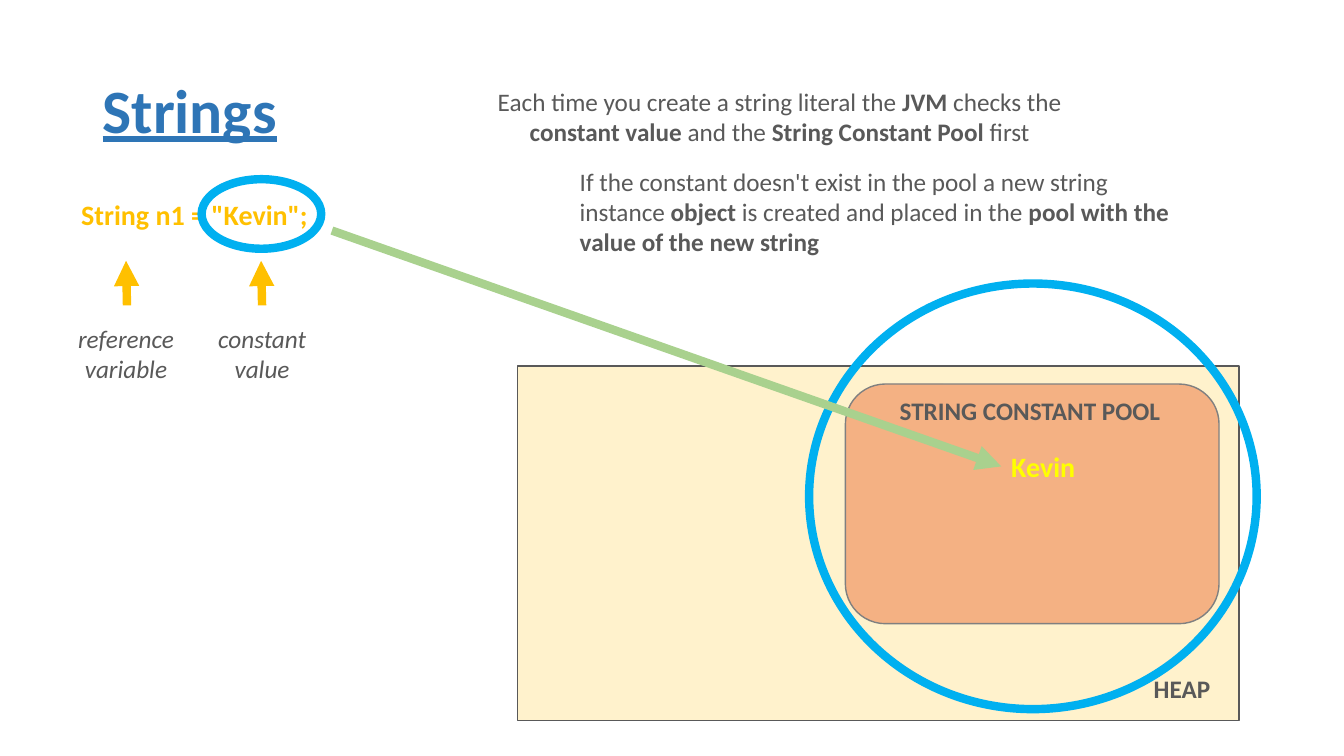
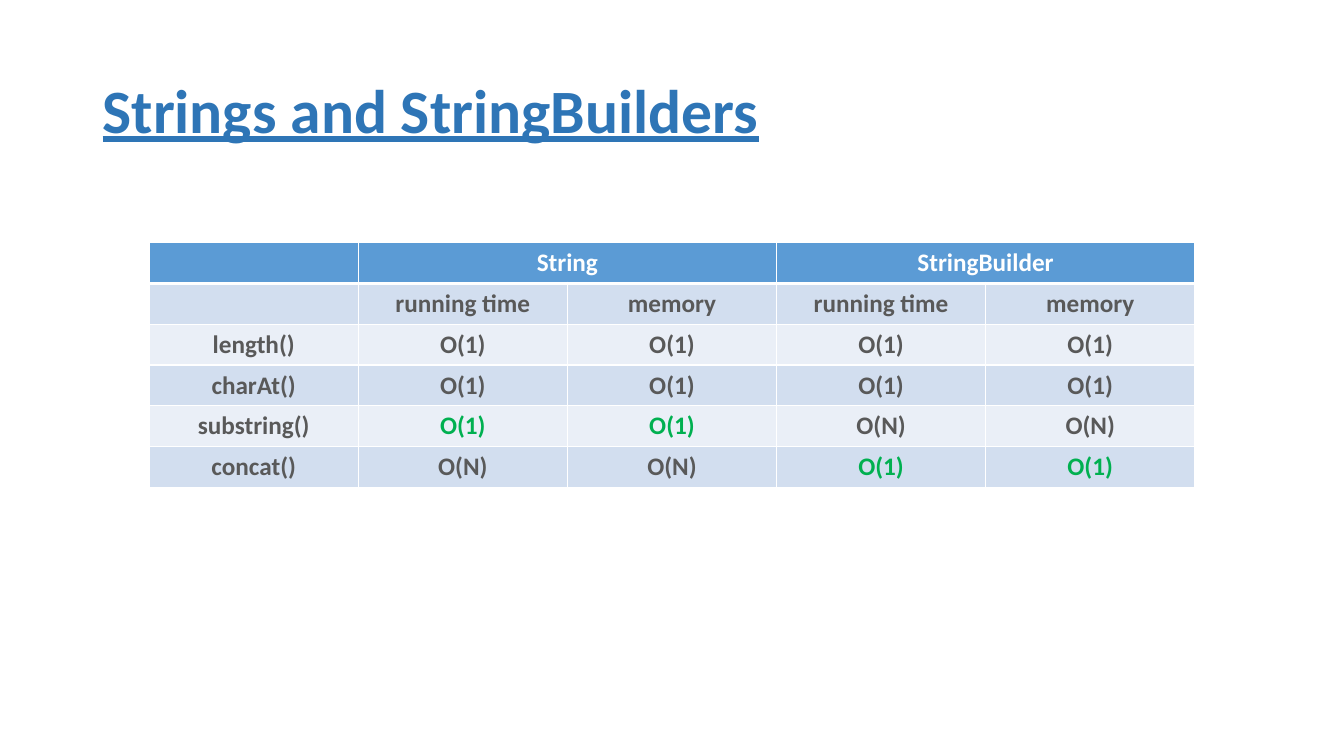
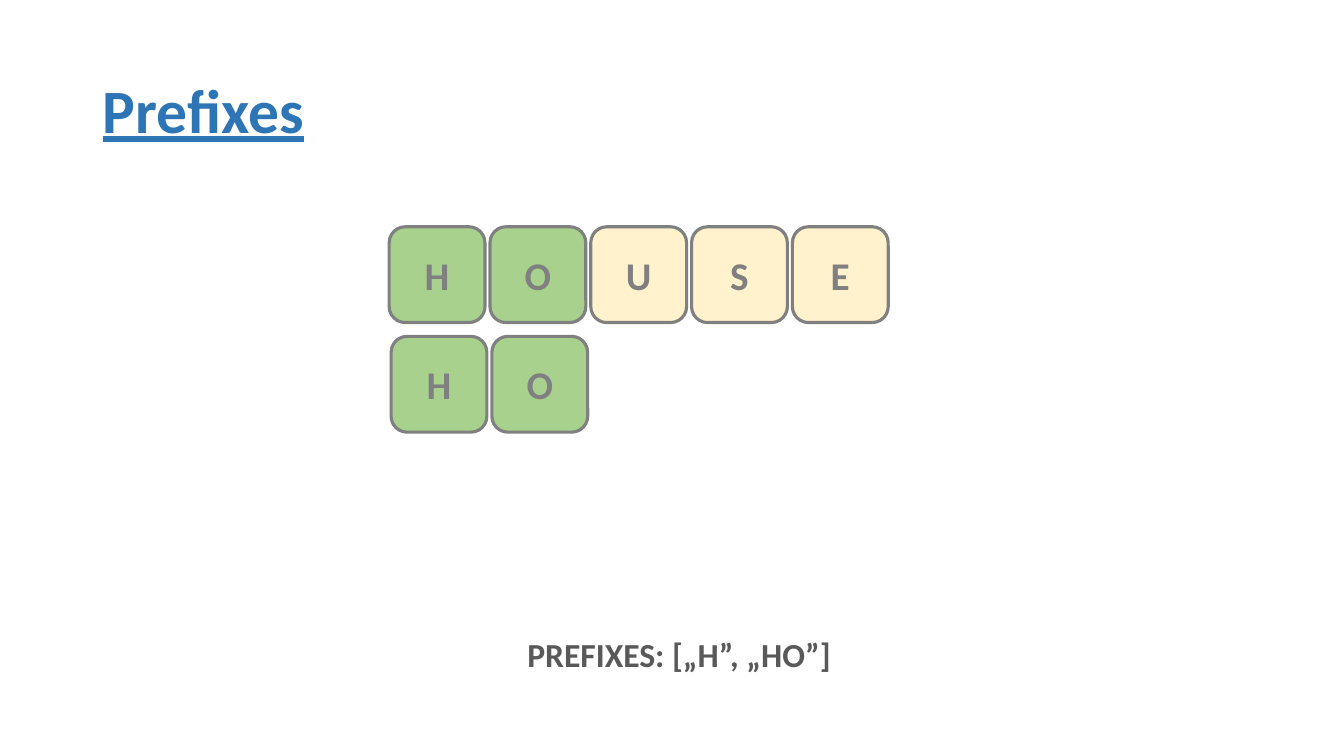
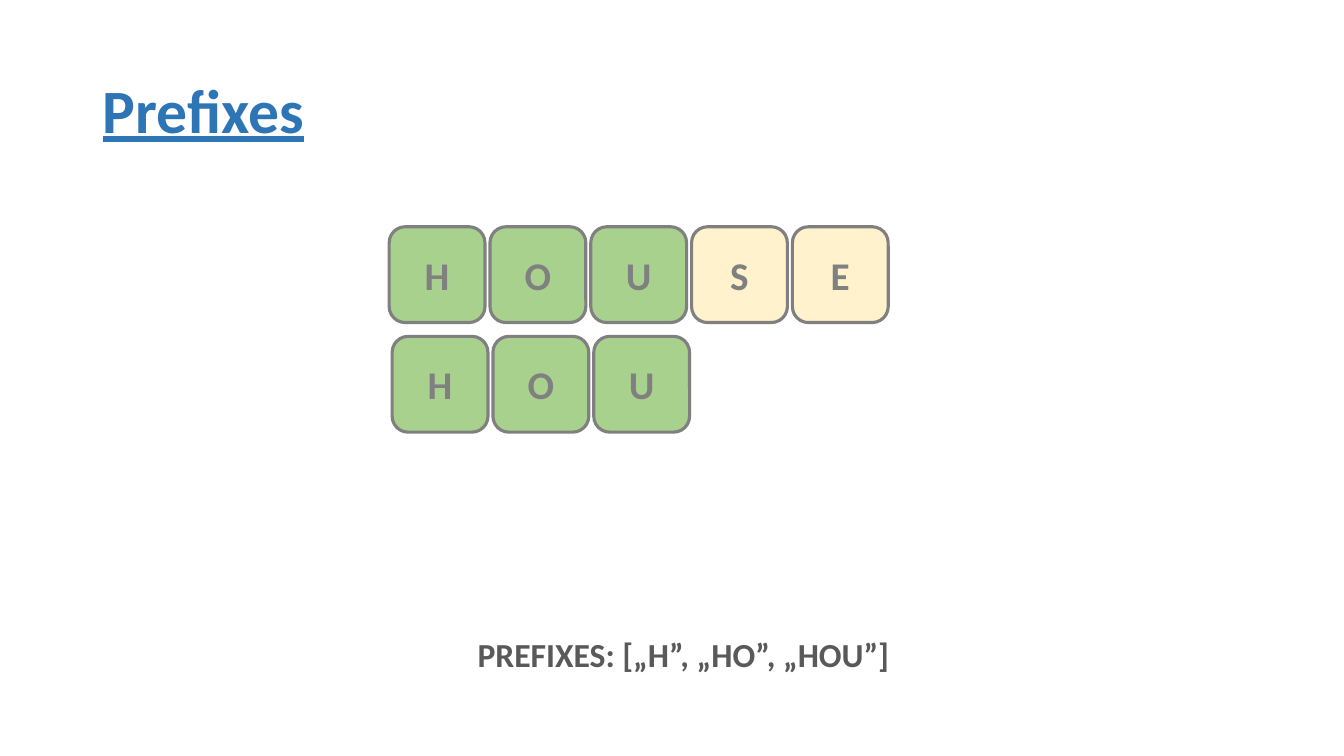
"""Build four slides on strings, string builders and prefixes."""
from dataclasses import dataclass

from lxml.etree import SubElement
from pptx import Presentation
from pptx.dml.color import RGBColor
from pptx.enum.shapes import MSO_CONNECTOR, MSO_SHAPE
from pptx.enum.text import MSO_ANCHOR, PP_ALIGN
from pptx.oxml import parse_xml
from pptx.oxml.ns import nsdecls, qn
from pptx.util import Inches, Pt


@dataclass(frozen=True)
class Theme:
    font: str = "Calibri"
    title: str = "2E75B6"
    ink: str = "595959"
    outline: str = "808080"
    white: str = "FFFFFF"
    cream: str = "FFF2CC"
    orange: str = "F4B183"
    green: str = "A9D18E"
    gold: str = "FFC000"
    yellow: str = "FFFF00"
    ring: str = "00B0F0"
    header: str = "5B9BD5"
    bands: tuple = ("D2DEEF", "EAEFF7")
    best: str = "00B050"
    title_size: int = 44
    tile_size: int = 28
    answer_size: int = 24
    code_size: int = 20
    body_size: int = 18
    thick: float = 6
    medium: float = 2.25
    thin: float = 1


THEME = Theme()
WIDTH, HEIGHT = Inches(13.33), Inches(7.5)
TITLE_AREA = (6.9, 5.3, 86.3, 19.3)

HEAP = ("HEAP", (38.5, 48.4, 53.7, 46.9), (85.1, 88.4, 7.1, 5.3))
POOL = ("STRING CONSTANT POOL", (62.9, 50.8, 27.8, 31.7), (66.2, 51.6, 24.8, 5.3))
POOL_RING = (60.2, 37.5, 33.3, 56.3)
LITERAL_RING = (15, 23.7, 8.9, 9.2)
DECLARATION = ('String n1 = "Kevin";', (5.3, 25.5, 24.9, 6.8))
POOLED_VALUE = ("Kevin", (74.5, 58.8, 7.5, 5.9))
CAPTIONS = [
    ("reference variable", (3.75, 42.1, 11.25, 9.5)),
    ("constant value", (14.3, 42.1, 10.4, 9.5)),
]
CHECK_NOTE = (
    "Each time you create a string literal the **JVM** checks the "
    "**constant value** and the **String Constant Pool **first",
    (34.8, 10.8, 46.4, 13.5),
)
CREATE_NOTE = (
    "If the constant doesn't exist in the pool a new string\n"
    "instance **object **is created and placed in the"
    "** pool with the value of the new string**",
    (42.4, 21.3, 47.9, 13.5),
)
ARROWS = [
    ((9.45, 40.4), (9.38, 34.5), THEME.gold),
    ((19.5, 40.4), (19.43, 34.5), THEME.gold),
    ((24.7, 30.5), (74.5, 61.7), THEME.green),
]

COSTS_AREA = (11.1, 32.1, 77.8, 32.4)
COSTS = [
    ("", "String", "", "StringBuilder", ""),
    ("", "running time", "memory", "running time", "memory"),
    ("length()", "O(1)", "O(1)", "O(1)", "O(1)"),
    ("charAt()", "O(1)", "O(1)", "O(1)", "O(1)"),
    ("substring()", "O(1)", "O(1)", "O(N)", "O(N)"),
    ("concat()", "O(N)", "O(N)", "O(1)", "O(1)"),
]
BEST_COSTS = {(4, 1), (4, 2), (5, 3), (5, 4)}

WORD = "HOUSE"
TILE, TILE_STEP = 7.13, 7.5
WORD_START = (28.96, 30)
PREFIX_SLIDES = [
    ("HO", (29.1, 44.5), "PREFIXES: [„H”, „HO”]", (38.5, 83.2, 24.4, 6.7)),
    ("HOU", (29.18, 44.5), "PREFIXES: [„H”, „HO”, „HOU”]", (34.8, 83.2, 32.5, 6.7)),
]


def place(area):
    """Turn percentages of the slide into lengths, across and down in turn."""
    return [round(share * (HEIGHT if i % 2 else WIDTH) / 100)
            for i, share in enumerate(area)]


def write(frame, text, size=THEME.body_size, color=THEME.ink, bold=False,
          italic=False, underline=False, align=PP_ALIGN.LEFT,
          anchor=MSO_ANCHOR.TOP, spacing=None, wrap=True):
    """Write text; newlines part paragraphs and double stars mark bold."""
    frame.word_wrap = wrap
    frame.vertical_anchor = anchor
    strong = False
    for number, line in enumerate(text.split("\n")):
        paragraph = frame.add_paragraph() if number else frame.paragraphs[0]
        paragraph.alignment = align
        paragraph.line_spacing = spacing
        for part, piece in enumerate(line.split("**")):
            strong = part % 2 == 1
            if not piece:
                continue
            run = paragraph.add_run()
            run.text = piece
            font = run.font
            font.name, font.size = THEME.font, Pt(size)
            font.bold, font.italic, font.underline = bold or strong, italic, underline
            font.color.rgb = RGBColor.from_string(color)


def add_label(slide, text, area, **style):
    write(slide.shapes.add_textbox(*place(area)).text_frame, text, **style)


def add_figure(slide, preset, area, line, weight, fill=None):
    figure = slide.shapes.add_shape(preset, *place(area))
    figure.shadow.inherit = False
    if fill:
        figure.fill.solid()
        figure.fill.fore_color.rgb = RGBColor.from_string(fill)
    else:
        figure.fill.background()
    figure.line.color.rgb = RGBColor.from_string(line)
    figure.line.width = Pt(weight)
    return figure


def add_arrow(slide, start, end, color):
    arrow = slide.shapes.add_connector(
        MSO_CONNECTOR.STRAIGHT, *place(start), *place(end))
    arrow.line.color.rgb = RGBColor.from_string(color)
    arrow.line.width = Pt(THEME.thick)
    SubElement(arrow.line._get_or_add_ln(), qn("a:tailEnd"), type="triangle")
    SubElement(arrow._element.spPr, qn("a:effectLst"))


def add_slide(deck, title):
    slide = deck.slides.add_slide(deck.slide_layouts[6])
    add_label(slide, title, TITLE_AREA, size=THEME.title_size, color=THEME.title,
              bold=True, underline=True, anchor=MSO_ANCHOR.MIDDLE, spacing=0.9)
    return slide


def add_memory_slide(deck):
    slide = add_slide(deck, "Strings")
    heap_name, heap_area, heap_label = HEAP
    pool_name, pool_area, pool_label = POOL
    add_figure(slide, MSO_SHAPE.RECTANGLE, heap_area, THEME.ink, THEME.thin, THEME.cream)
    add_figure(slide, MSO_SHAPE.ROUNDED_RECTANGLE, pool_area, THEME.outline,
               THEME.thin, THEME.orange)
    add_label(slide, heap_name, heap_label, bold=True)
    add_label(slide, pool_name, pool_label, bold=True)
    add_label(slide, *DECLARATION, size=THEME.code_size, color=THEME.gold, bold=True)
    for ring in (POOL_RING, LITERAL_RING):
        add_figure(slide, MSO_SHAPE.OVAL, ring, THEME.ring, THEME.thick)
    add_label(slide, *CHECK_NOTE, align=PP_ALIGN.CENTER)
    for caption in CAPTIONS:
        add_label(slide, *caption, italic=True, align=PP_ALIGN.CENTER)
    for arrow in ARROWS:
        add_arrow(slide, *arrow)
    add_label(slide, *POOLED_VALUE, size=THEME.code_size, color=THEME.yellow, bold=True)
    add_label(slide, *CREATE_NOTE)


def set_borders(cell, weights):
    """Draw white borders, given a weight in points for each side."""
    properties = cell._tc.get_or_add_tcPr()
    for position, (side, weight) in enumerate(weights.items()):
        properties.insert(position, parse_xml(
            f'<a:ln{side} {nsdecls("a")} w="{Pt(weight)}"><a:solidFill>'
            f'<a:srgbClr val="{THEME.white}"/></a:solidFill></a:ln{side}>'))


def add_cost_slide(deck):
    slide = add_slide(deck, "Strings and StringBuilders")
    costs = slide.shapes.add_table(len(COSTS), len(COSTS[0]), *place(COSTS_AREA)).table
    for first in (1, 3):
        costs.cell(0, first).merge(costs.cell(0, first + 1))
    for r, row in enumerate(COSTS):
        for c, entry in enumerate(row):
            cell = costs.cell(r, c)
            fill = THEME.bands[(r - 1) % 2] if r else THEME.header
            cell.fill.solid()
            cell.fill.fore_color.rgb = RGBColor.from_string(fill)
            set_borders(cell, {"L": 1, "R": 1, "T": 3 if r == 1 else 1,
                               "B": 1 if r else 3})
            color = THEME.best if (r, c) in BEST_COSTS else THEME.ink
            if entry:
                write(cell.text_frame, entry, color=color if r else THEME.white,
                      bold=True, align=PP_ALIGN.CENTER)


def add_tiles(slide, letters, start, marked):
    left, top = start
    for i, letter in enumerate(letters):
        area = (left + i * TILE_STEP, top, TILE, TILE * WIDTH / HEIGHT)
        tile = add_figure(slide, MSO_SHAPE.ROUNDED_RECTANGLE, area, THEME.outline,
                          THEME.medium, THEME.green if i < marked else THEME.cream)
        write(tile.text_frame, letter, size=THEME.tile_size, color=THEME.outline,
              bold=True, align=PP_ALIGN.CENTER, anchor=MSO_ANCHOR.MIDDLE)


def add_prefix_slide(deck, prefix, prefix_start, answer, answer_area):
    slide = add_slide(deck, "Prefixes")
    add_tiles(slide, WORD, WORD_START, len(prefix))
    add_label(slide, answer, answer_area, size=THEME.answer_size, bold=True, wrap=False)
    add_tiles(slide, prefix, prefix_start, len(prefix))


deck = Presentation()
deck.slide_width, deck.slide_height = WIDTH, HEIGHT
add_memory_slide(deck)
add_cost_slide(deck)
for prefix_slide in PREFIX_SLIDES:
    add_prefix_slide(deck, *prefix_slide)
deck.save("out.pptx")
